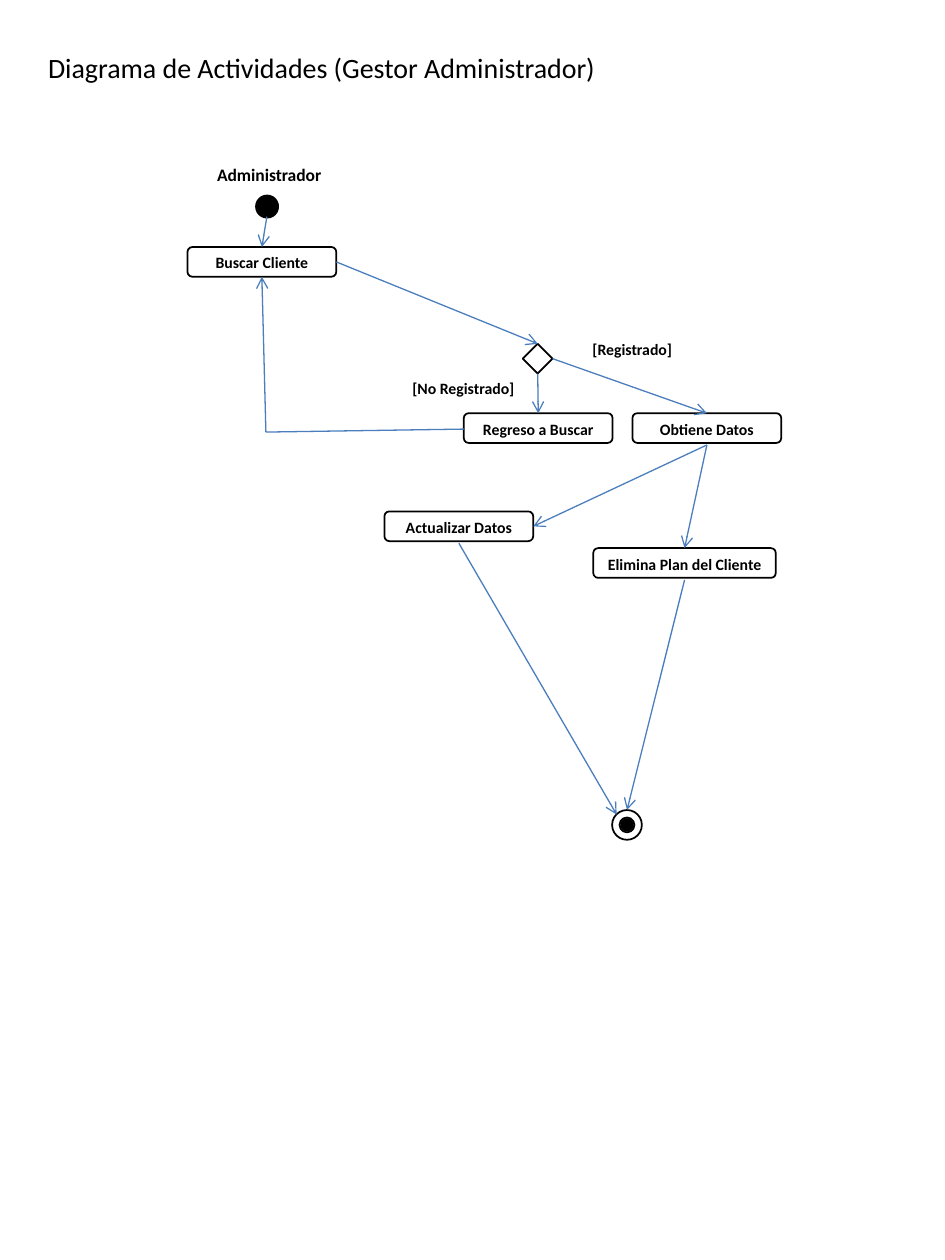
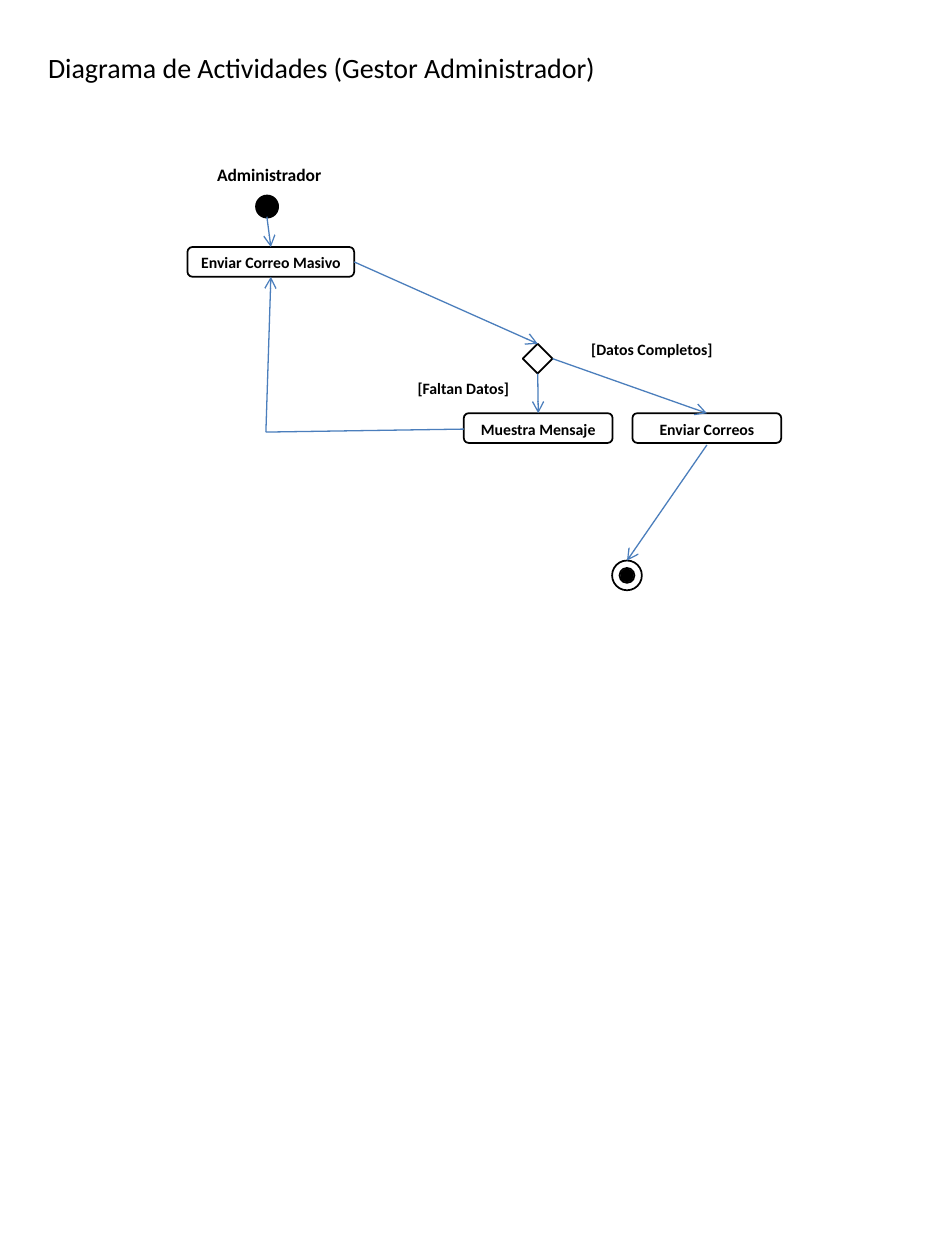
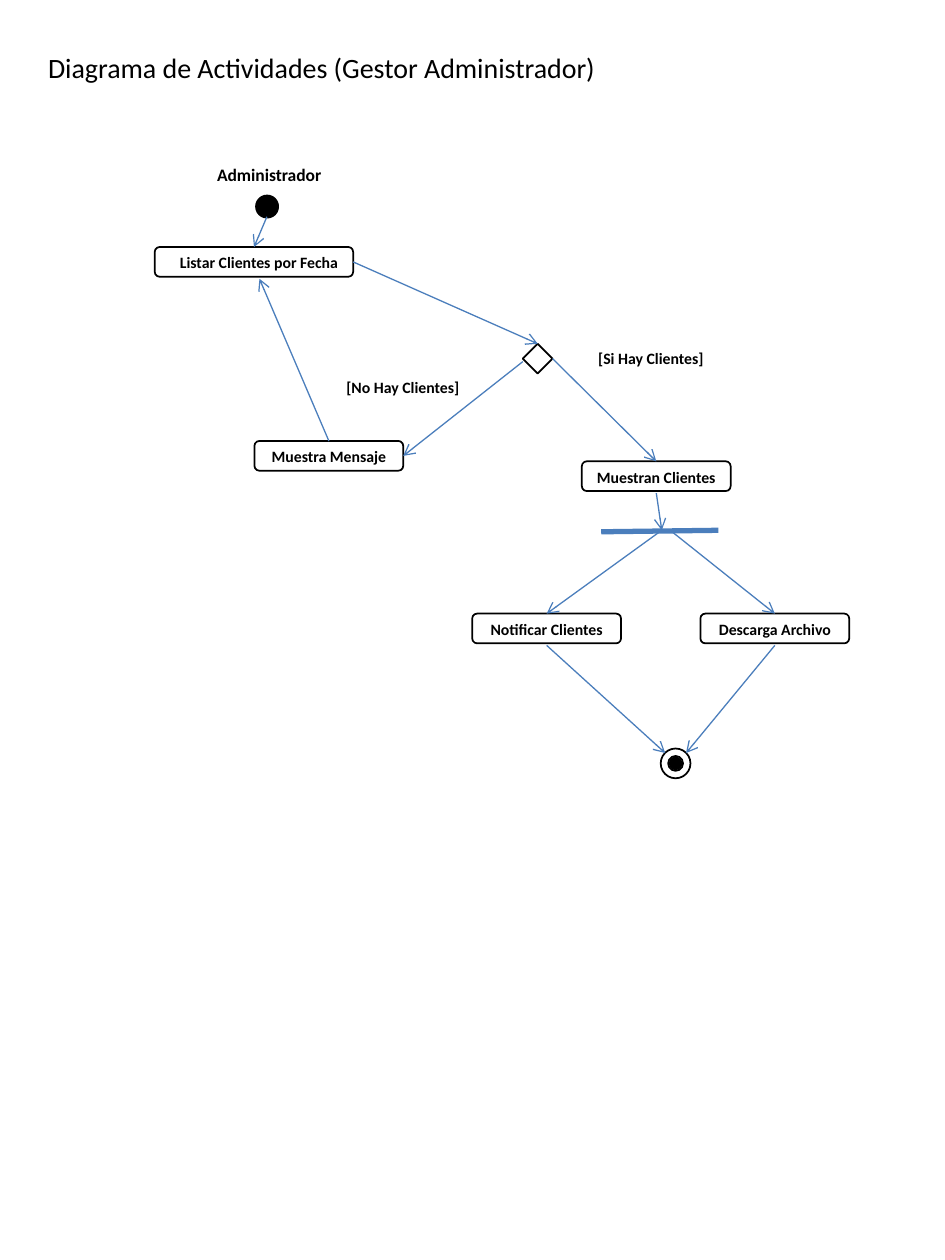
"""Build three activity diagrams for the administrator's tasks."""
from pptx import Presentation, util as u
from pptx.dml.color import RGBColor
from pptx.enum import shapes, text
from pptx.oxml import ns, xmlchemy as xc

BLACK = RGBColor(0x00, 0x00, 0x00)
WHITE = RGBColor(0xFF, 0xFF, 0xFF)
BLUE = RGBColor(0x4B, 0x7E, 0xBC)
KIND = shapes.MSO_SHAPE
TITLE = "Diagrama de Actividades (Gestor Administrador)"
FACE = {"name": "Calibri", "bold": True}
FRAME = {"word_wrap": True, "auto_size": text.MSO_AUTO_SIZE.SHAPE_TO_FIT_TEXT}
HEAD_FRAME = {"word_wrap": True, "auto_size": text.MSO_AUTO_SIZE.NONE,
              "vertical_anchor": text.MSO_ANCHOR.MIDDLE}
SIDE = 0.6
TALL = 0.64
WIDE = 3
STEP_X, YES_X, ROW_Y = 9.35, 12.75, 8.33
TOP_Y = 4.98
TURN = (5.36, 8.71)
START = (5.38, 4.37)


def apply(item, values):
    """Set each attribute of an item from a dict."""
    for key, value in values.items():
        setattr(item, key, value)


def write(frame, words, size, form, face):
    """Fill a text frame with one centred line."""
    apply(frame, form)
    line = frame.paragraphs[0]
    line.alignment = text.PP_ALIGN.CENTER
    run = line.add_run()
    run.text = words
    apply(run.font, {**face, "size": u.Pt(size)})
    run.font.color.rgb = BLACK


def label(slide, words, x, y, w, h=TALL, size=9):
    """Add a bold label."""
    box = slide.shapes.add_textbox(u.Cm(x), u.Cm(y), u.Cm(w), u.Cm(h))
    write(box.text_frame, words, size, FRAME, FACE)


def shape(home, kind, x, y, w, h, fill=WHITE, width=1):
    """Add an outlined shape to a slide or a group."""
    item = home.shapes.add_shape(kind, u.Cm(x), u.Cm(y), u.Cm(w), u.Cm(h))
    item.shadow.inherit = False
    item.fill.solid()
    item.fill.fore_color.rgb = fill
    item.line.color.rgb = BLACK
    item.line.width = u.Pt(width)


def step(slide, words, x, y, w=WIDE, inset=0):
    """Add an activity and return its edge points."""
    shape(slide, KIND.FLOWCHART_ALTERNATE_PROCESS, x, y, w, SIDE)
    label(slide, words, x + inset, y, w - inset)
    return {"top": (x + w / 2, y), "right": (x + w, y + SIDE / 2),
            "left": (x, y + TALL / 2), "low": (x + w / 2, y + TALL),
            "foot": (x + w / 2, y + SIDE)}


def choice(slide):
    """Add the decision and return its edge points."""
    x, y, half = 10.54, 6.93, SIDE / 2
    shape(slide, KIND.FLOWCHART_DECISION, x, y, SIDE, SIDE)
    return {"top": (x + half, y), "right": (x + SIDE, y + half),
            "left": (x, y + 0.36), "low": (x + half, y + SIDE)}


def finish(slide, x, y):
    """Add the end mark and return its upper edge points."""
    group = slide.shapes.add_group_shape()
    shape(group, KIND.FLOWCHART_CONNECTOR, x + 0.2, y + 0.2, 0.2, 0.2, BLACK, 2)
    shape(group, KIND.DONUT, x, y, SIDE, SIDE)
    return {"top": (x + SIDE / 2, y), "left": (x + 0.09, y + 0.09),
            "right": (x + SIDE - 0.09, y + 0.09)}


def link(slide, *points, head=True, width=0.75):
    """Join points with lines, the last one with an arrowhead."""
    for a, b in zip(points, points[1:]):
        ends = [u.Cm(n) for n in (*a, *b)]
        line = slide.shapes.add_connector(shapes.MSO_CONNECTOR.STRAIGHT, *ends)
        line.line.color.rgb = BLUE
        line.line.width = u.Pt(width)
        props = line.element.spPr
        if head and b is points[-1]:
            tail = xc.OxmlElement("a:tailEnd")
            tail.set("type", "arrow")
            props.find(ns.qn("a:ln")).append(tail)
        props.append(xc.OxmlElement("a:effectLst"))


def open_page(deck):
    """Add a slide with its title and start mark."""
    slide = deck.slides.add_slide(deck.slide_layouts[5])
    title = slide.shapes.title
    apply(title, {"left": u.Cm(0.58), "top": u.Cm(0.79),
                  "width": u.Cm(11.81), "height": u.Cm(1.12)})
    write(title.text_frame, TITLE, 16, HEAD_FRAME, {**FACE, "bold": False})
    shape(slide, KIND.FLOWCHART_CONNECTOR, 5.18, 3.96, 0.41, 0.41, BLACK, 2)
    label(slide, "Administrador", 3.33, 3.18, 4.19, 0.69, 10)
    return slide


def branch(slide, first, wide, back, no, good, yes, span):
    """Add the loop with its two outcomes and return the good step."""
    ask = choice(slide)
    again = step(slide, back, STEP_X, ROW_Y)
    label(slide, yes, 11.35, 6.73, span)
    label(slide, no, 7.54, 7.52, 3.6)
    done = step(slide, good, YES_X, ROW_Y)
    begin = step(slide, first, 3.78, TOP_Y, wide)
    link(slide, START, begin["top"])
    link(slide, begin["right"], ask["top"])
    link(slide, ask["low"], again["top"])
    link(slide, ask["right"], done["top"])
    link(slide, again["left"], TURN, begin["foot"])
    return done


def search(deck):
    """Draw the client search."""
    slide = open_page(deck)
    data = branch(slide, "Buscar Cliente", WIDE, "Regreso a Buscar",
                  "[No Registrado]", "Obtiene Datos", "[Registrado]", 2.79)
    end = finish(slide, 12.34, 16.33)
    drop = step(slide, "Elimina Plan del Cliente", 11.96, 11.05, 3.68)
    edit = step(slide, "Actualizar Datos", 7.75, 10.31)
    link(slide, data["low"], drop["top"])
    link(slide, data["low"], edit["right"])
    link(slide, drop["low"], end["top"])
    link(slide, edit["low"], end["left"])


def mail(deck):
    """Draw the bulk mail."""
    slide = open_page(deck)
    send = branch(slide, "Enviar Correo Masivo", 3.36, "Muestra Mensaje",
                  "[Faltan Datos]", "Enviar Correos", "[Datos Completos]", 3.58)
    end = finish(slide, 12.34, 11.3)
    link(slide, send["low"], end["top"])


def listing(deck):
    """Draw the client list by date."""
    slide = open_page(deck)
    ask = choice(slide)
    label(slide, "[Si Hay Clientes]", 11.33, 6.91, 3.58)
    label(slide, "[No Hay Clientes]", 6.32, 7.49, 3.6)
    begin = step(slide, "Listar Clientes por Fecha", 3.12, TOP_Y, 4, 0.2)
    note = step(slide, "Muestra Mensaje", 5.13, 8.89)
    show = step(slide, "Muestran Clientes", 11.73, 9.3)
    save = step(slide, "Descarga Archivo", 14.12, 12.37)
    tell = step(slide, "Notificar Clientes", 9.52, 12.37)
    end = finish(slide, 13.32, 15.09)
    fork = (13.34, 10.69)
    link(slide, START, begin["top"])
    link(slide, begin["right"], ask["top"])
    link(slide, ask["left"], note["right"])
    link(slide, note["top"], (5.23, TOP_Y + TALL))
    link(slide, ask["right"], show["top"])
    link(slide, show["low"], fork)
    link(slide, (14.48, 10.69), (12.12, 10.72), head=False, width=3)
    link(slide, fork, tell["top"])
    link(slide, (13.51, 10.69), save["top"])
    link(slide, tell["low"], end["left"])
    link(slide, save["low"], end["right"])


def main():
    """Build and save the deck."""
    deck = Presentation()
    apply(deck, {"slide_width": u.Cm(19.05), "slide_height": u.Cm(25.4)})
    for draw in (search, mail, listing):
        draw(deck)
    deck.save("out.pptx")


main()
